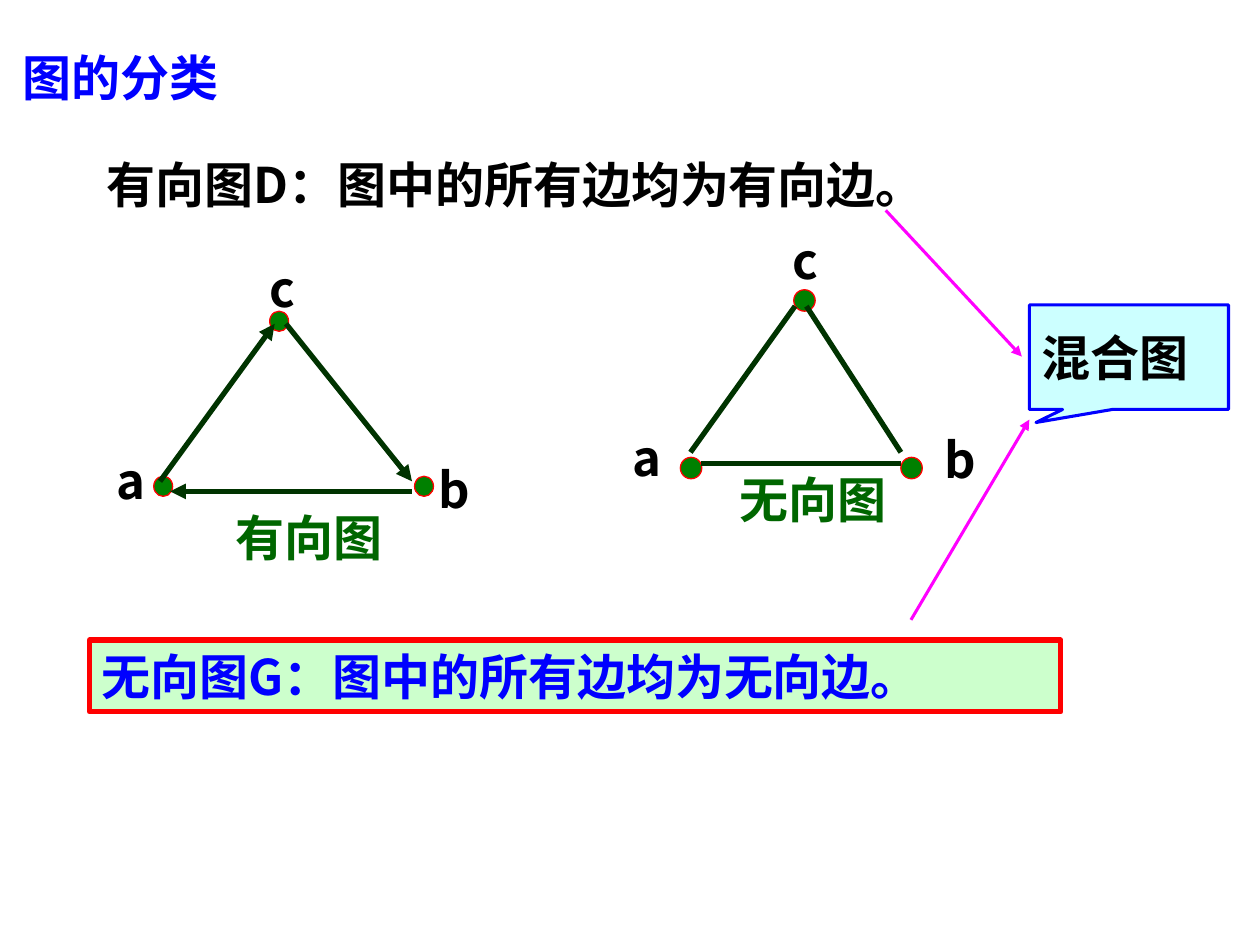
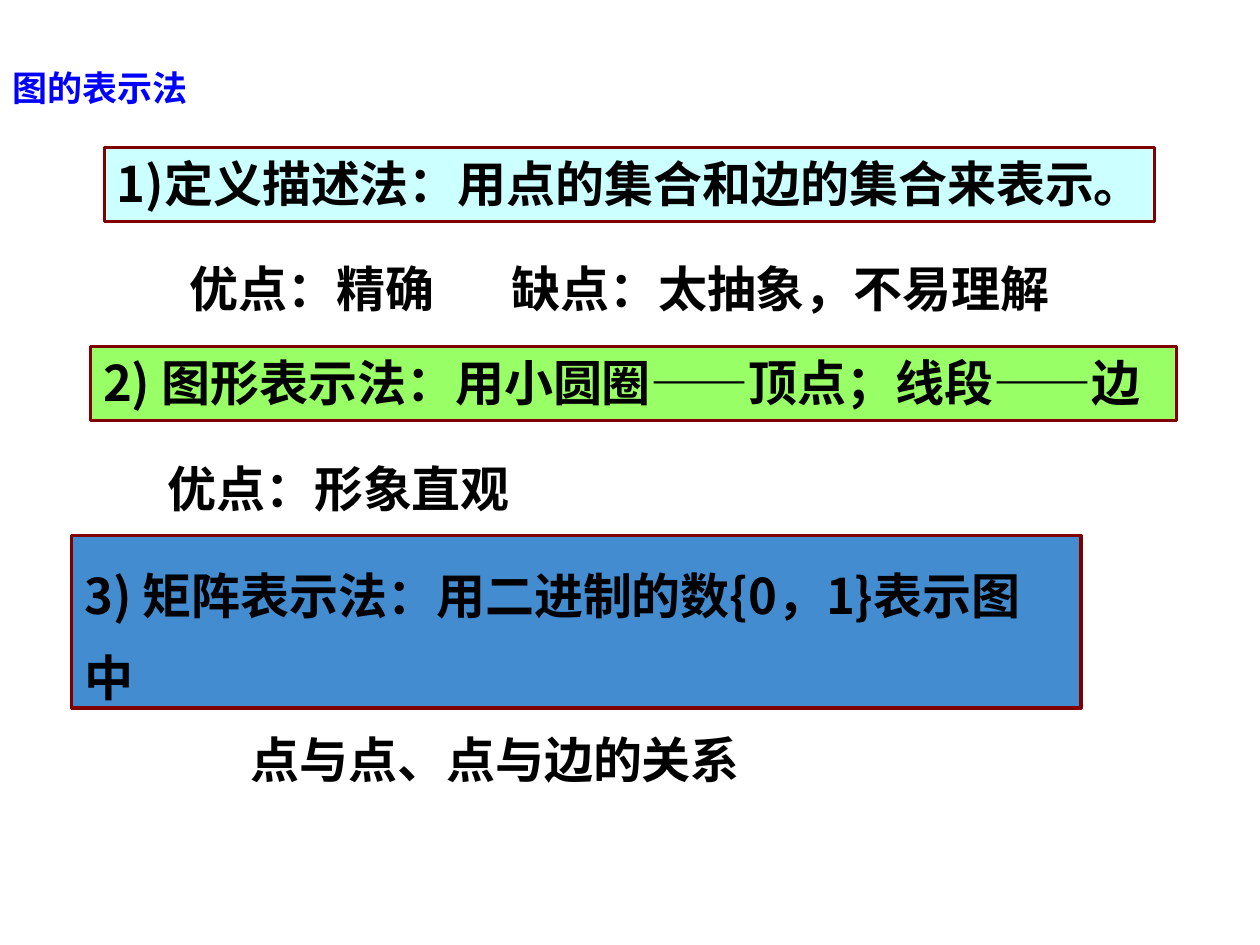
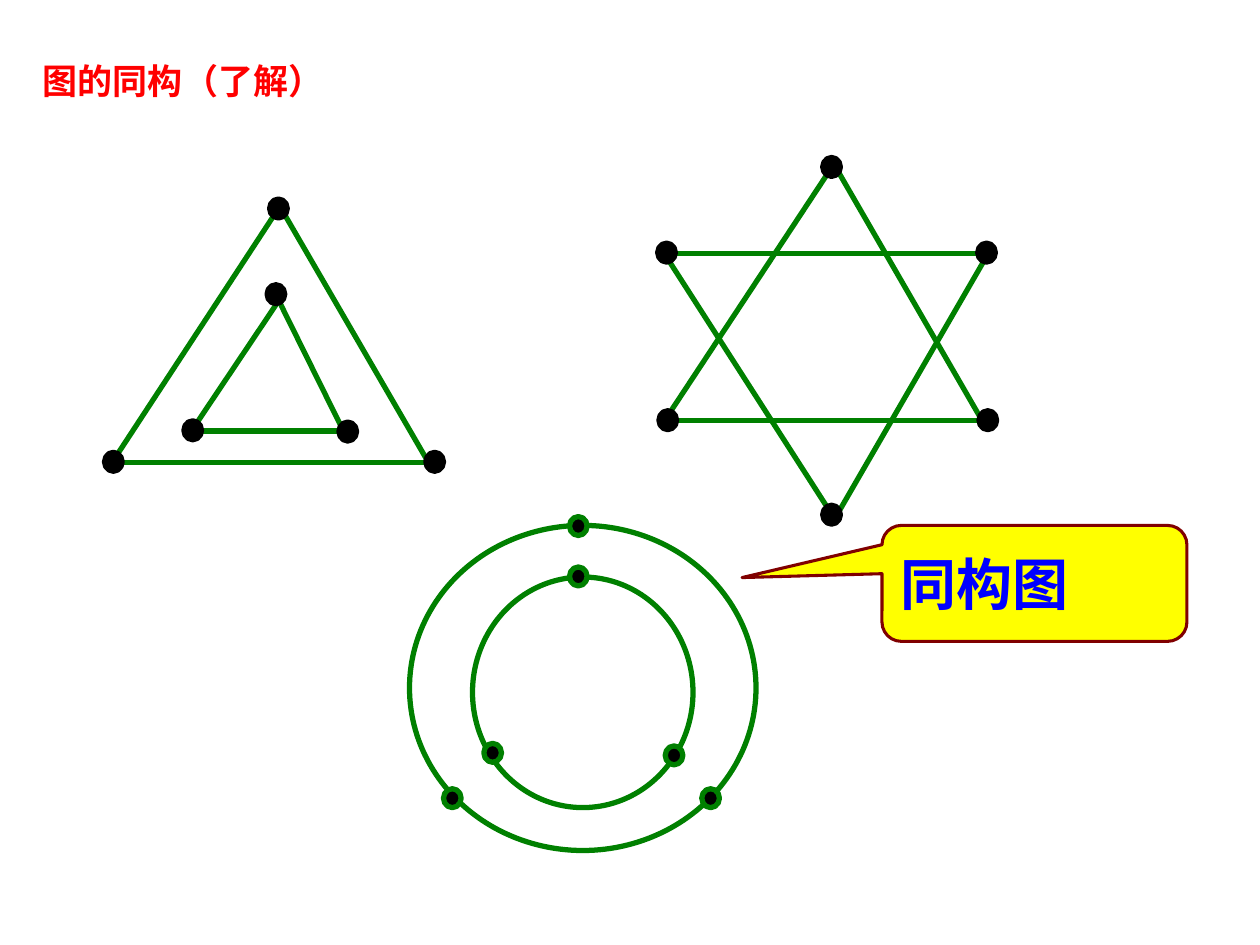
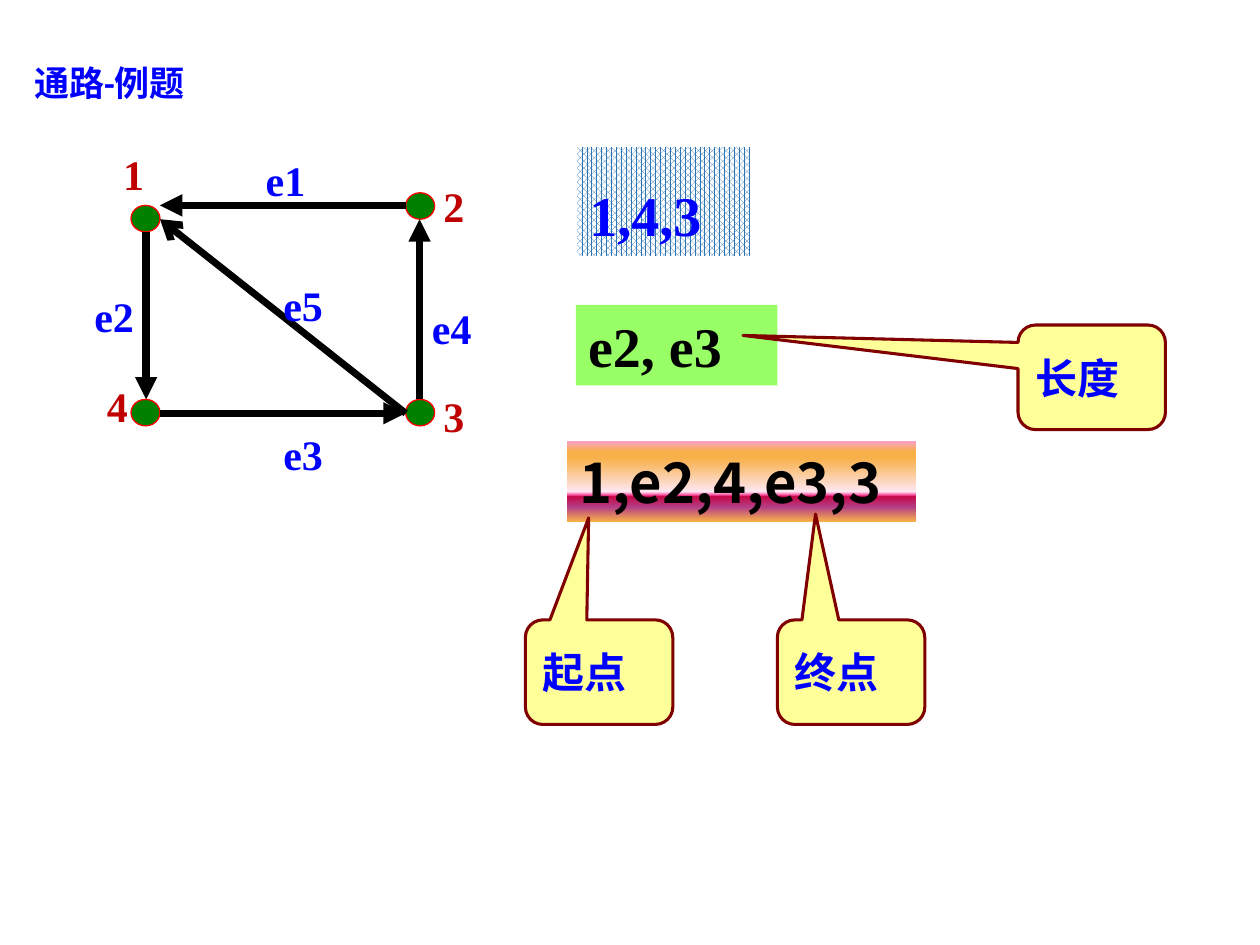
from lxml.etree import SubElement
from pptx import Presentation
from pptx.dml.color import RGBColor
from pptx.enum.dml import MSO_PATTERN
from pptx.enum.shapes import MSO_CONNECTOR, MSO_SHAPE
from pptx.enum.text import MSO_ANCHOR, MSO_AUTO_SIZE, PP_ALIGN
from pptx.oxml.ns import qn
from pptx.util import Emu, Pt

PX = 9144  # 100 px to the inch

CJK = "Noto Sans CJK SC"
SERIF = "Times New Roman"
BLACK, WHITE, RED, BLUE = "000000", "FFFFFF", "FF0000", "0000FF"
GREEN, DARK_GREEN, LABEL_GREEN = "008000", "003300", "006600"
MAROON, MAGENTA, CRIMSON = "800000", "FF00FF", "C00000"
PALE_CYAN, PALE_GREEN, LIME = "CCFFFF", "CCFFCC", "99FF66"
STEEL, PATTERN_BLUE, YELLOW, PALE_YELLOW = "438CCF", "2E75B6", "FFFF00", "FFFF99"
SUNSET = [(0, "FC9FCB"), (13, "F8B049"), (21, "F8B049"), (63, "FEE7F2"),
          (67, "F952A0"), (69, "C50849"), (82, "B43E85"), (100, "F8B049")]


def color(value):
    return RGBColor.from_string(value)


def px(*lengths):
    return [Emu(length * PX) for length in lengths]


def apply(target, values):
    for name, value in values.items():
        setattr(target, name, value)


class Deck:
    def __init__(self):
        self.presentation = Presentation()
        apply(self.presentation, dict(zip(("slide_width", "slide_height"), px(1000, 750))))
        self.slide = None

    def add_slide(self, title, box, size=20, font=CJK, ink=BLUE):
        layout = self.presentation.slide_layouts.get_by_name("Title Only")
        self.slide = self.presentation.slides.add_slide(layout)
        placeholder = self.slide.shapes.title
        apply(placeholder, dict(zip(("left", "top", "width", "height"), px(*box))))
        self.set_text(placeholder, title, size, ink, font)

    def set_text(self, shape, text, size=28, ink=BLACK, font=CJK,
                 anchor=MSO_ANCHOR.TOP, wrap=True, spacing=None):
        """Fill a shape with left-aligned bold text, one paragraph a line."""
        frame = shape.text_frame
        frame.text = text
        margin_x, margin_y = px(10, 5)
        apply(frame, {"word_wrap": wrap, "vertical_anchor": anchor,
                      "auto_size": MSO_AUTO_SIZE.NONE,
                      "margin_left": margin_x, "margin_right": margin_x,
                      "margin_top": margin_y, "margin_bottom": margin_y})
        for paragraph in frame.paragraphs:
            apply(paragraph, {"alignment": PP_ALIGN.LEFT, "line_spacing": spacing})
            for run in paragraph.runs:
                apply(run.font, {"size": Pt(size), "bold": True, "name": font})
                run.font.color.rgb = color(ink)
                SubElement(run._r.get_or_add_rPr(), qn("a:ea"), typeface=CJK)

    def label(self, text, box, wrap=False, **style):
        self.set_text(self.slide.shapes.add_textbox(*px(*box)), text, wrap=wrap, **style)

    def shape(self, kind, box, fill=None, outline=None, width=1.75):
        shape = self.slide.shapes.add_shape(kind, *px(*box))
        shape.shadow.inherit = False
        if fill:
            shape.fill.solid()
            shape.fill.fore_color.rgb = color(fill)
        else:
            shape.fill.background()
        if outline:
            shape.line.color.rgb = color(outline)
            shape.line.width = Pt(width)
        else:
            shape.line.fill.background()
        return shape

    def panel(self, text, box, fill=None, outline=None, width=1.75, **style):
        panel = self.shape(MSO_SHAPE.RECTANGLE, box, fill, outline, width)
        self.set_text(panel, text, **style)
        return panel

    def callout(self, text, box, tip, fill, outline=MAROON,
                kind=MSO_SHAPE.ROUNDED_RECTANGULAR_CALLOUT, **style):
        callout = self.shape(kind, box, fill, outline)
        callout.adjustments[0], callout.adjustments[1] = tip
        self.set_text(callout, text, anchor=MSO_ANCHOR.MIDDLE, **style)

    def dots(self, corners, size, fill, outline, width):
        for corner in corners:
            self.shape(MSO_SHAPE.OVAL, (*corner, *size), fill, outline, width)

    def lines(self, ends, ink, width, head=None):
        """Draw straight lines, with an arrowhead at the far end if one is named."""
        for points in ends:
            connector = self.slide.shapes.add_connector(MSO_CONNECTOR.STRAIGHT, *px(*points))
            connector.line.color.rgb = color(ink)
            connector.line.width = Pt(width)
            properties = connector._element.spPr
            if head:
                SubElement(properties.find(qn("a:ln")), qn("a:tailEnd"), type=head)
            SubElement(properties, qn("a:effectLst"))


def fill_gradient(shape, stops):
    """Fill from top to bottom with (percent, colour) stops."""
    shape.fill.gradient()
    shape.fill.gradient_angle = 270
    stop_list = shape._element.spPr.find(".//" + qn("a:gsLst"))
    for stop in list(stop_list):
        stop_list.remove(stop)
    for percent, value in stops:
        stop = SubElement(stop_list, qn("a:gs"), pos=str(percent * 1000))
        SubElement(stop, qn("a:srgbClr"), val=value)


def fill_pattern(shape, pattern, front, back):
    shape.fill.patterned()
    shape.fill.pattern = pattern
    shape.fill.fore_color.rgb = color(front)
    shape.fill.back_color.rgb = color(back)


def graph_kinds(deck):
    deck.add_slide("图的分类", (8, 33, 208, 57), size=28)
    deck.label("有向图D：图中的所有边均为有向边。", (75, 118, 732, 57), wrap=True)
    deck.panel("无向图G：图中的所有边均为无向边。", (71, 508, 771, 57),
               PALE_GREEN, RED, 3, ink=BLUE)

    vertex_names = [("c", 204, 200), ("a", 83, 353), ("b", 338, 360),
                    ("c", 619, 178), ("a", 492, 334), ("b", 740, 336)]
    for name, left, top in vertex_names:
        deck.label(name, (left, top, 38, 57))
    deck.dots([(329, 378), (122, 378), (214, 247)], (15, 16), GREEN, RED, 0.75)
    deck.dots([(715, 363), (540, 363), (630, 230)], (17, 17), GREEN, RED, 0.75)
    deck.lines([(127, 382, 218, 257), (227, 257, 327, 382), (327, 390, 135, 390)],
               DARK_GREEN, 3, "triangle")
    deck.lines([(548, 359, 631, 243), (640, 243, 715, 359), (556, 368, 715, 368)],
               DARK_GREEN, 3)
    for caption, left, top in [("有向图", 177, 398), ("无向图", 577, 368)]:
        deck.label(caption, (left, top, 139, 57), ink=LABEL_GREEN)

    deck.lines([(703, 167, 811, 283), (723, 492, 817, 333)], MAGENTA, 1.75, "triangle")
    deck.callout("混合图", (817, 242, 158, 83), (-0.467, 0.625), PALE_CYAN, BLUE,
                 MSO_SHAPE.RECTANGULAR_CALLOUT)


def graph_notations(deck):
    deck.add_slide("图的表示法", (0, 48, 352, 43))
    deck.panel("1)定义描述法：用点的集合和边的集合来表示。", (83, 117, 833, 59),
               PALE_CYAN, MAROON)
    deck.label("优点：精确", (141, 200, 216, 57))
    deck.label("缺点：太抽象，不易理解", (396, 200, 452, 57))
    deck.panel("2) 图形表示法：用小圆圈——顶点；线段——边", (72, 275, 862, 59), LIME, MAROON)
    deck.label("优点：形象直观", (123, 359, 295, 57))
    matrix = deck.panel("3) 矩阵表示法：用二进制的数{0，1}表示图中\n点与点、点与边的关系",
                        (57, 425, 801, 137), STEEL, MAROON, spacing=1.4)
    last_line = matrix.text_frame.paragraphs[-1]
    last_line._p.get_or_add_pPr().set("marL", str(132 * PX))


def isomorphic_graphs(deck):
    deck.add_slide("图的同构（了解）", (24, 42, 276, 43), ink=RED)
    dot_size = (14, 15)

    star_edges = [(660, 408, 529, 204), (779, 333, 664, 134), (785, 200, 660, 416),
                  (532, 201, 785, 201), (528, 333, 660, 133), (533, 334, 786, 334)]
    star_dots = [(776, 193), (522, 193), (777, 326), (523, 326), (653, 125), (653, 401)]
    triangle_edges = [(152, 342, 219, 242), (340, 367, 224, 167), (219, 234, 277, 351),
                      (152, 342, 277, 342), (89, 367, 220, 167), (94, 367, 346, 367)]
    triangle_dots = [(269, 335), (212, 226), (338, 359), (83, 359), (214, 158), (146, 334)]
    for edges, dots in [(star_edges, star_dots), (triangle_edges, triangle_dots)]:
        deck.lines(edges, GREEN, 3)
        deck.dots(dots, dot_size, BLACK, BLACK, 3)

    for ring in [(375, 458, 175, 183), (325, 417, 275, 258)]:
        deck.shape(MSO_SHAPE.OVAL, ring, outline=GREEN, width=3)
    deck.dots([(528, 592), (452, 450), (557, 626), (352, 626), (452, 410), (384, 590)],
              dot_size, BLACK, GREEN, 3)
    deck.callout("同构图", (700, 417, 242, 92), (-0.959, -0.05), YELLOW, size=32, ink=BLUE)


def path_example(deck):
    deck.add_slide("通路-例题", (17, 44, 192, 43), font="Calibri")
    deck.dots([(322, 317), (322, 153), (104, 317), (104, 163)], (23, 21), GREEN, RED, 0.75)
    for name, left, top in [("1", 88, 113), ("2", 342, 138), ("3", 342, 305), ("4", 75, 297)]:
        deck.label(name, (left, top, 37, 51), size=24, ink=CRIMSON, font=SERIF)
    deck.lines([(322, 163, 127, 163), (116, 184, 116, 317),
                (127, 328, 322, 328), (333, 317, 333, 174)], BLACK, 4.25, "triangle")
    deck.lines([(81, 122, 81, 122)], BLACK, 1.5, "triangle")
    deck.lines([(322, 328, 127, 174)], BLACK, 4, "arrow")
    edge_places = [(201, 118), (65, 226), (215, 335), (333, 235), (215, 217)]
    for number, place in enumerate(edge_places, 1):
        deck.label(f"e{number}", (*place, 52, 50), size=24, ink=BLUE, font=SERIF)

    full_path = deck.panel("1,e2,4,e3,3", (450, 350, 277, 64), size=32)
    fill_gradient(full_path, SUNSET)
    vertex_path = deck.panel("1,4,3", (458, 117, 137, 86), size=32, ink=BLUE,
                             font=SERIF, spacing=1.4)
    fill_pattern(vertex_path, MSO_PATTERN.PERCENT_75, PATTERN_BLUE, WHITE)
    deck.panel("e2, e3", (457, 242, 160, 64), LIME, size=32, font=SERIF)

    remarks = [("起点", 417, 492, (-0.071, -1.475)),
               ("终点", 617, 492, (-0.241, -1.512)),
               ("长度", 808, 258, (-2.366, -0.4))]
    for text, left, top, tip in remarks:
        deck.callout(text, (left, top, 117, 83), tip, PALE_YELLOW, size=24, ink=BLUE)


def main():
    deck = Deck()
    for build in (graph_kinds, graph_notations, isomorphic_graphs, path_example):
        build(deck)
    deck.presentation.save("out.pptx")


if __name__ == "__main__":
    main()
